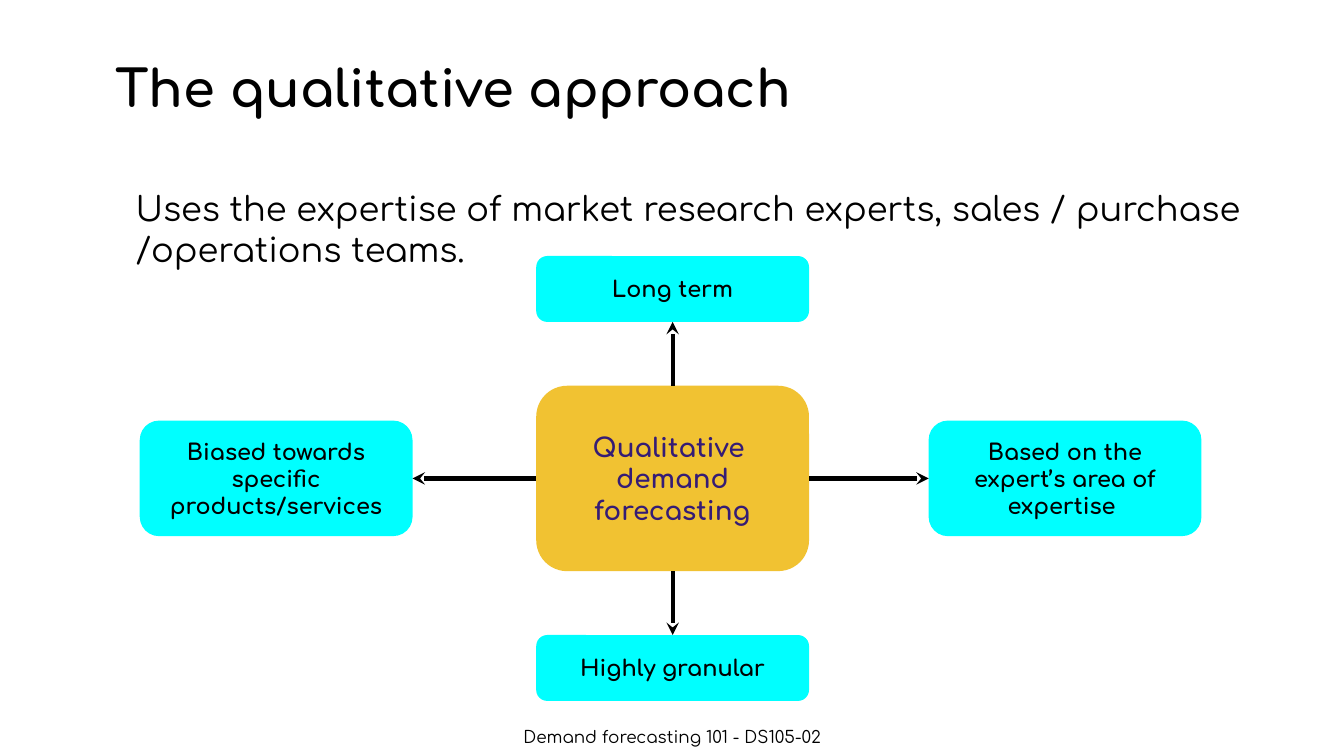
from dataclasses import dataclass

from lxml import etree
from pptx import Presentation
from pptx.dml.color import RGBColor
from pptx.enum.shapes import MSO_CONNECTOR, MSO_SHAPE
from pptx.enum.text import MSO_ANCHOR, PP_ALIGN
from pptx.oxml.ns import qn
from pptx.util import Inches, Pt

ROUNDED = MSO_SHAPE.ROUNDED_RECTANGLE
STRAIGHT = MSO_CONNECTOR.STRAIGHT
TOP, MIDDLE = MSO_ANCHOR.TOP, MSO_ANCHOR.MIDDLE
LEFT, CENTER = PP_ALIGN.LEFT, PP_ALIGN.CENTER
TOP_SIDE, LEFT_SIDE, BOTTOM_SIDE, RIGHT_SIDE = range(4)


@dataclass(frozen=True)
class Theme:
    font: str = "Comfortaa"
    ink: str = "000000"
    hub_ink: str = "351C75"
    hub_fill: str = "F1C232"
    trait_fill: str = "00FFFF"
    title_size: float = 27.2
    body_size: float = 18
    hub_size: float = 14
    trait_size: float = 12
    footer_size: float = 9
    arrow_width: float = 2.25


THEME = Theme()

# Diagram grid, in inches: left edges of columns, centres of rows, box sizes
COLUMNS = (1.04, 3.99, 6.91)
ROWS = (2.15, 3.56, 4.97)
BOX_WIDTH = 2.03
HUB_HEIGHT, TALL, SHORT = 1.38, 0.86, 0.49

# Text, column, row, height, side of the hub, facing side of the box
TRAITS = (
    ("Highly granular", 1, 2, SHORT, BOTTOM_SIDE, TOP_SIDE),
    ("Long term", 1, 0, SHORT, TOP_SIDE, BOTTOM_SIDE),
    ("Biased towards specific products/services", 0, 1, TALL, LEFT_SIDE, RIGHT_SIDE),
    ("Based on the expert’s area of expertise ", 2, 1, TALL, RIGHT_SIDE, LEFT_SIDE),
)


def write(shape, lines, size, color=THEME.ink, bold=False, align=LEFT, anchor=TOP):
    frame = shape.text_frame
    frame.word_wrap = True
    frame.vertical_anchor = anchor
    frame.margin_left = frame.margin_right = Inches(0.1)
    frame.margin_top = frame.margin_bottom = Inches(0.1)
    frame.text = "\n".join(lines)
    for para in frame.paragraphs:
        para.alignment = align
        para.font.name = THEME.font
        para.font.size = Pt(size)
        para.font.bold = bold
        para.font.color.rgb = RGBColor.from_string(color)


def add_text(page, area, lines, size, **style):
    box = page.shapes.add_textbox(*map(Inches, area))
    write(box, lines, size, **style)


def add_box(page, column, row, height, fill, lines, size, color=THEME.ink):
    top = ROWS[row] - height / 2
    area = (COLUMNS[column], top, BOX_WIDTH, height)
    box = page.shapes.add_shape(ROUNDED, *map(Inches, area))
    box.shadow.inherit = False
    box.fill.solid()
    box.fill.fore_color.rgb = RGBColor.from_string(fill)
    box.line.fill.background()
    write(box, lines, size, color, bold=True, align=CENTER, anchor=MIDDLE)
    return box


def add_arrow(page, start, start_side, end, end_side):
    arrow = page.shapes.add_connector(STRAIGHT, 0, 0, 0, 0)
    arrow.begin_connect(start, start_side)
    arrow.end_connect(end, end_side)
    arrow.line.width = Pt(THEME.arrow_width)
    arrow.line.color.rgb = RGBColor.from_string(THEME.ink)
    properties = arrow.element.spPr
    etree.SubElement(properties.find(qn("a:ln")), qn("a:tailEnd"), type="stealth")
    etree.SubElement(properties, qn("a:effectLst"))


def main():
    # Widescreen page, 16 to 9
    deck = Presentation()
    deck.slide_width = Inches(10)
    deck.slide_height = deck.slide_width * 9 // 16
    page = deck.slides.add_slide(deck.slide_layouts[6])

    # Heading and introduction
    add_text(page, (0.76, 0.32, 9.32, 0.63), ["The qualitative approach"],
             THEME.title_size, bold=True)
    add_text(page, (0.91, 1.3, 8.68, 1.57),
             ["Uses the expertise of market research experts, sales / purchase",
              "/operations teams."], THEME.body_size)

    # Hub with its four traits
    hub = add_box(page, 1, 1, HUB_HEIGHT, THEME.hub_fill,
                  ["Qualitative ", "demand forecasting"], THEME.hub_size, THEME.hub_ink)
    for text, column, row, height, hub_side, box_side in TRAITS:
        box = add_box(page, column, row, height, THEME.trait_fill, [text], THEME.trait_size)
        add_arrow(page, hub, hub_side, box, box_side)

    # Footer
    add_text(page, (3.4, 5.33, 3.2, 0.35), ["Demand forecasting 101 - DS105-02"],
             THEME.footer_size, align=CENTER)

    deck.save("out.pptx")


if __name__ == "__main__":
    main()
